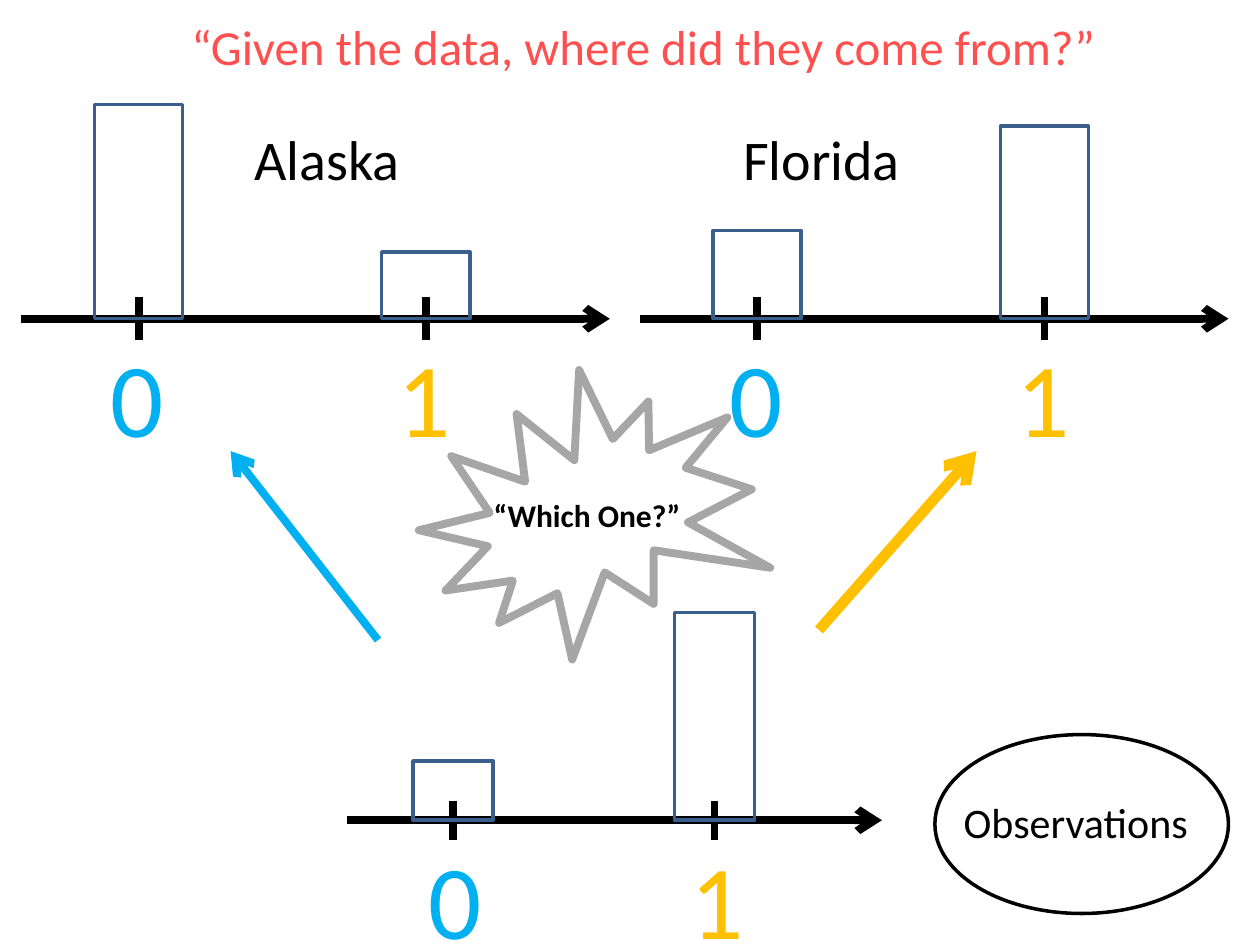
import dataclasses

import pptx
import pptx.dml.color
import pptx.enum.shapes
import pptx.enum.text
import pptx.oxml
import pptx.oxml.ns
import pptx.util

Inches = pptx.util.Inches
Pt = pptx.util.Pt
Preset = pptx.enum.shapes.MSO_SHAPE


@dataclasses.dataclass(frozen=True)
class Theme:
    font: str = "Calibri"
    black: str = "000000"
    zero: str = "00B0F0"
    one: str = "FFC000"
    bar: str = "3A5F8C"
    burst: str = "A6A6A6"
    title: str = "FF5050"
    digit_size: int = 60
    state_size: int = 32
    title_size: int = 28
    label_size: int = 24
    question_size: int = 18
    thin: float = 2
    thick: float = 4.5
    heavy: float = 6


@dataclasses.dataclass(frozen=True)
class Histogram:
    left: float
    baseline: float
    zero_height: float
    one_height: float
    scale: float = 1


@dataclasses.dataclass(frozen=True)
class Arrow:
    start: tuple[float, float]
    end: tuple[float, float]
    color: str
    width: float


@dataclasses.dataclass(frozen=True)
class Label:
    text: str
    box: tuple[float, float, float, float]
    size: int
    color: str = Theme.black
    bold: bool = False
    wrap: bool = False


THEME = Theme()
HISTOGRAMS = [
    Histogram(0.17, 2.53, 1.7, 0.53),
    Histogram(2.75, 6.51, 0.47, 1.65, scale=0.91),
    Histogram(5.08, 2.53, 0.7, 1.53),
]
ARROWS = [
    Arrow((3, 5.08), (1.83, 3.58), THEME.zero, THEME.thick),
    Arrow((6.5, 5), (7.75, 3.58), THEME.one, THEME.heavy),
]
LABELS = [
    Label("Alaska", (1.92, 0.94, 1.37, 0.64), THEME.state_size),
    Label("Florida", (5.8, 0.94, 1.46, 0.64), THEME.state_size),
    Label("Observations", (7.55, 6.27, 2, 0.5), THEME.label_size),
    Label("“Which One?”", (3.82, 3.89, 1.7, 0.4), THEME.question_size, bold=True),
    Label("“Given the data, where did they come from?”", (1.42, 0.08, 8, 0.57),
          THEME.title_size, color=THEME.title, wrap=True),
]


def rgb(color: str) -> pptx.dml.color.RGBColor:
    return pptx.dml.color.RGBColor.from_string(color)


def add_text(slide, text: str, box: tuple[float, float, float, float], *, size: int,
             color: str, bold: bool = False, wrap: bool = True) -> None:
    frame = slide.shapes.add_textbox(*map(Inches, box)).text_frame
    frame.word_wrap = wrap
    frame.auto_size = pptx.enum.text.MSO_AUTO_SIZE.SHAPE_TO_FIT_TEXT
    run = frame.paragraphs[0].add_run()
    run.text = text
    run.font.name = THEME.font
    run.font.size = Pt(size)
    run.font.bold = bold
    run.font.color.rgb = rgb(color)


def add_line(slide, start: tuple[float, float], end: tuple[float, float], *,
             color: str = THEME.black, width: float = THEME.thick,
             arrowhead: bool = False) -> None:
    connector = slide.shapes.add_connector(
        pptx.enum.shapes.MSO_CONNECTOR.STRAIGHT, *map(Inches, start + end))
    connector.line.color.rgb = rgb(color)
    connector.line.width = Pt(width)
    if arrowhead:
        tail = pptx.oxml.parse_xml(
            f'<a:tailEnd {pptx.oxml.ns.nsdecls("a")} type="arrow"/>')
        connector.line._get_or_add_ln().append(tail)
    properties = connector._element.spPr
    properties.append(pptx.oxml.parse_xml(
        f'<a:effectLst {pptx.oxml.ns.nsdecls("a")}/>'))


def add_outline(slide, preset: Preset, box: tuple[float, float, float, float], *,
                color: str, width: float, rotation: float = 0) -> None:
    shape = slide.shapes.add_shape(preset, *map(Inches, box))
    shape.shadow.inherit = False
    shape.fill.background()
    shape.line.color.rgb = rgb(color)
    shape.line.width = Pt(width)
    shape.rotation = rotation


def add_histogram(slide, histogram: Histogram) -> None:
    scale, baseline = histogram.scale, histogram.baseline
    ticks = [histogram.left + offset * scale for offset in (0.93, 3.21)]
    # Axis and tick marks
    add_line(slide, (histogram.left, baseline),
             (histogram.left + 4.67 * scale, baseline), arrowhead=True)
    for tick in ticks:
        add_line(slide, (tick, baseline - 0.17 * scale), (tick, baseline + 0.17 * scale))
    # Outcome digits
    for tick, digit, color in zip(ticks, "01", (THEME.zero, THEME.one)):
        add_text(slide, digit,
                 (tick - 0.32 * scale, baseline + 0.06, 0.82 * scale, 0.78 * scale),
                 size=THEME.digit_size, color=color)
    # Bars
    for tick, height in zip(ticks, (histogram.zero_height, histogram.one_height)):
        add_outline(slide, Preset.RECTANGLE,
                    (tick - 0.35 * scale, baseline - height, 0.7 * scale, height),
                    color=THEME.bar, width=THEME.thin)


def main() -> None:
    presentation = pptx.Presentation()
    presentation.slide_width = Inches(10)
    presentation.slide_height = Inches(7.5)
    slide = presentation.slides.add_slide(presentation.slide_layouts[6])

    for histogram in HISTOGRAMS:
        add_histogram(slide, histogram)

    # Arrows from the observations to the two candidates
    for arrow in ARROWS:
        add_line(slide, arrow.start, arrow.end, color=arrow.color,
                 width=arrow.width, arrowhead=True)

    # Frames around the observations and the question
    add_outline(slide, Preset.OVAL, (7.42, 5.83, 2.33, 1.42),
                color=THEME.black, width=THEME.thin)
    add_outline(slide, Preset.EXPLOSION1, (3.34, 2.97, 2.62, 2.18),
                color=THEME.burst, width=THEME.thick, rotation=162.8)

    for label in LABELS:
        add_text(slide, label.text, label.box, size=label.size, color=label.color,
                 bold=label.bold, wrap=label.wrap)

    presentation.save("out.pptx")


if __name__ == "__main__":
    main()
